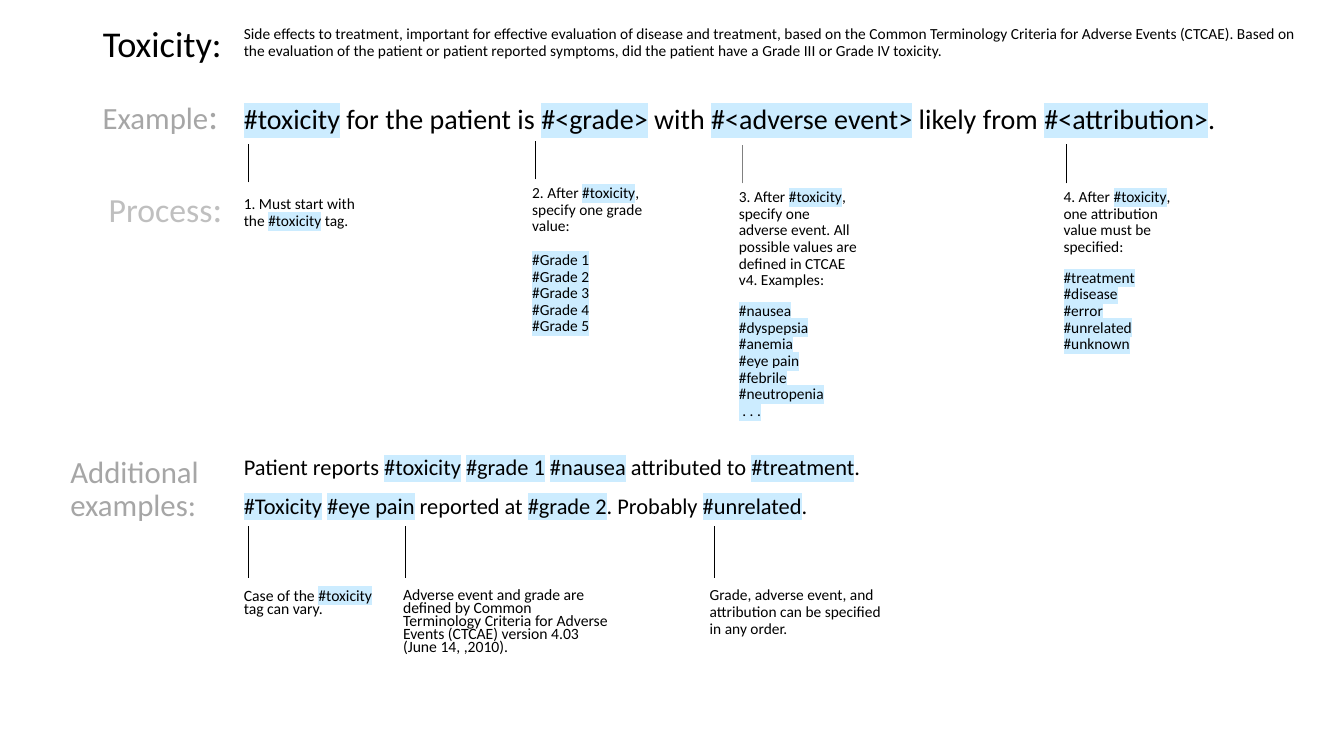
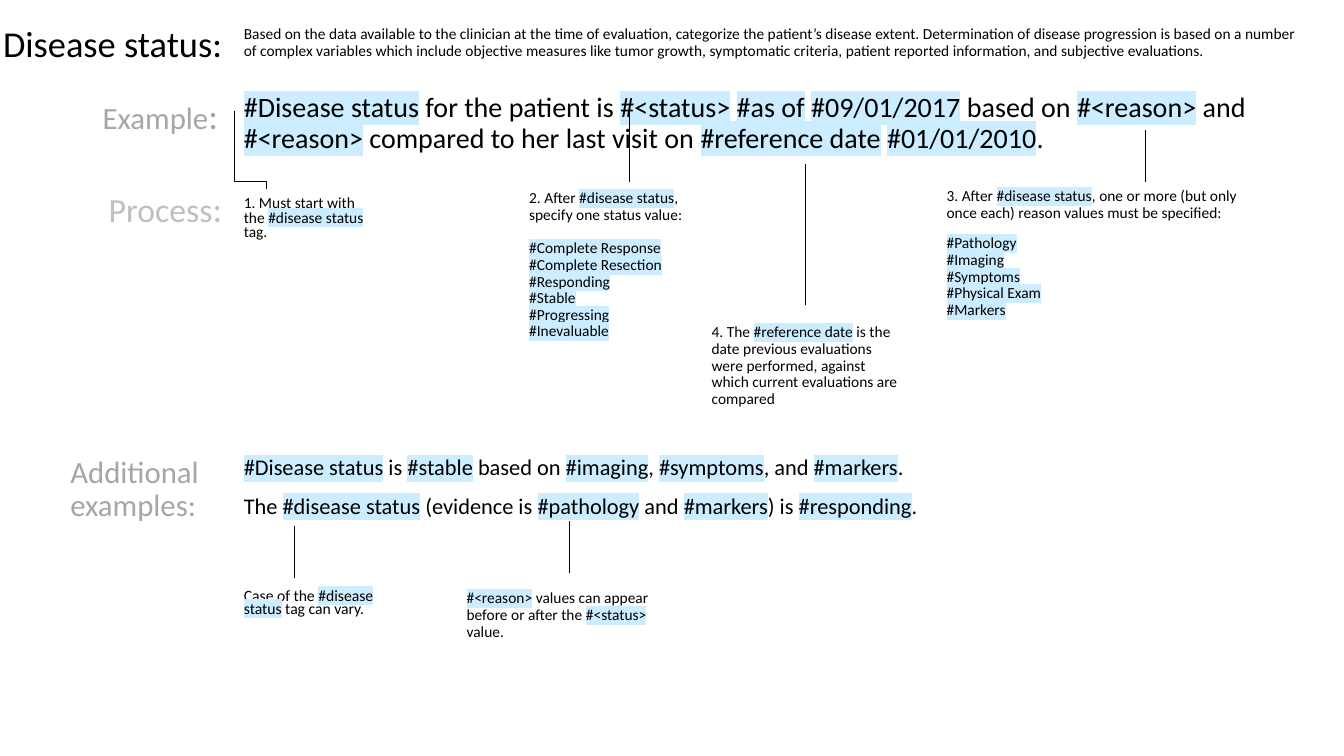
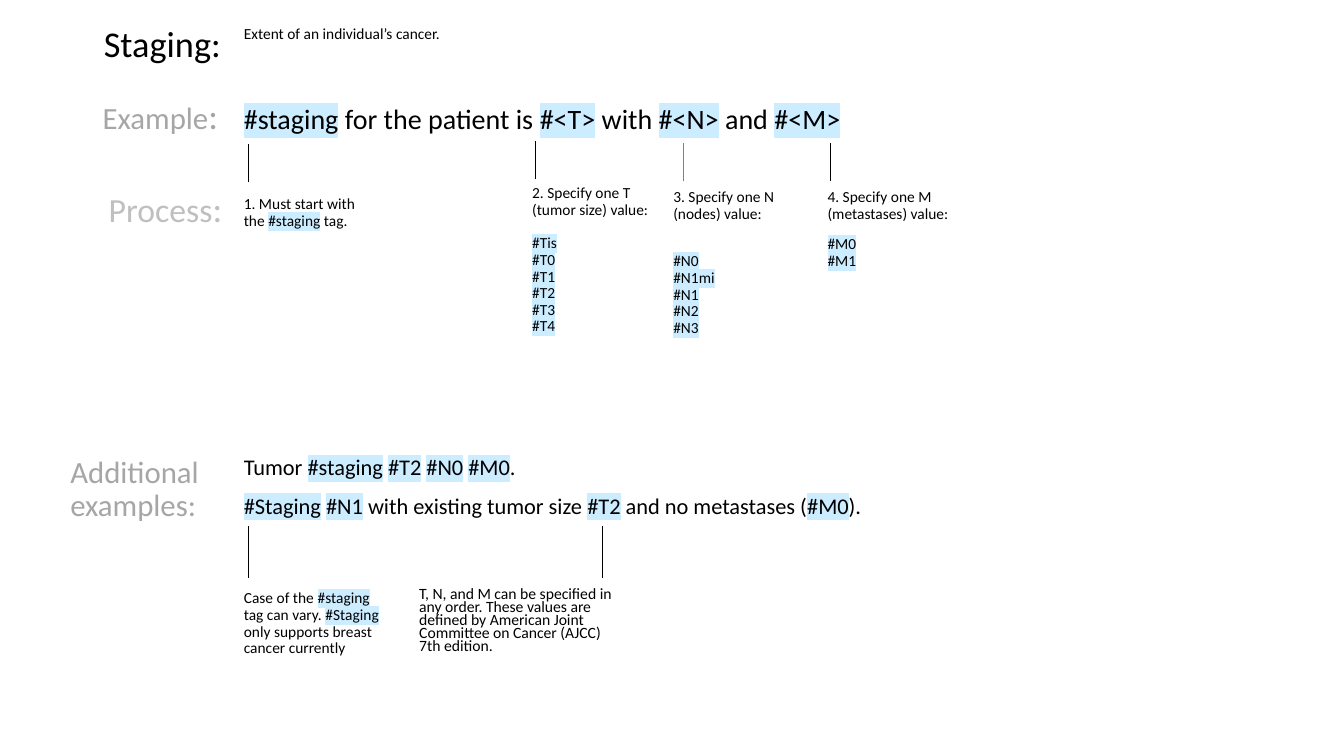
"""Build three reference slides that explain how clinical hashtags are written."""
import copy

import pptx
import pptx.dml.color
import pptx.enum.shapes
import pptx.enum.text
import pptx.oxml.ns
import pptx.oxml.xmlchemy
import pptx.util
from lxml import etree
from pptx.util import Inches

COLORS = {"text": "000000", "label": "A6A6A6", "process": "BFBFBF",
          "tag": "CCECFF", "line": "000000", "soft line": "808080"}
FONT = "Calibri"
TEXT_LEFT = 2.32
TIGHT = {"size": 11.2, "spacing": 0.7}
LABELS = [
    ("Example", (0.92, 0.92, 1.38, 0.48), {"size": 22, "color": "label", "colon_size": 26}),
    ("Process", (0.98, 1.85, 1.4, 0.57), {"size": 24.1, "color": "process", "colon_size": 25.9}),
    ("Additional examples:", (0.6, 4.48, 1.57, 0.57), {"size": 22, "color": "label"}),
]


def write(box, text, size=11, color="text", spacing=0.9, gap=10, colon_size=None):
    """Fill a box; | parts paragraphs, square brackets mark tags."""
    frame = box.text_frame
    frame.word_wrap = True
    frame.auto_size = pptx.enum.text.MSO_AUTO_SIZE.NONE
    frame.vertical_anchor = pptx.enum.text.MSO_ANCHOR.TOP
    for number, part in enumerate(text.split("|")):
        para = frame.add_paragraph() if number else frame.paragraphs[0]
        para.alignment = pptx.enum.text.PP_ALIGN.LEFT
        para.line_spacing = spacing
        para.space_before = pptx.util.Pt(gap if number else 0)
        pieces = [(piece, index % 2 == 1, size)
                  for index, piece in enumerate(part.replace("]", "[").split("["))]
        if colon_size:
            pieces.append((":", False, colon_size))
        for piece, tagged, points in pieces:
            for row, line in enumerate(piece.split("\n") if piece else []):
                if row:
                    para.add_line_break()
                    para._p[-1].append(copy.deepcopy(span._r.rPr))
                span = para.add_run()
                span.text = line
                span.font.size = pptx.util.Pt(points)
                span.font.name = FONT
                span.font.color.rgb = pptx.dml.color.RGBColor.from_string(COLORS[color])
                if tagged:
                    highlight = etree.Element(pptx.oxml.ns.qn("a:highlight"))
                    value = etree.SubElement(highlight, pptx.oxml.ns.qn("a:srgbClr"))
                    value.set("val", COLORS["tag"])
                    span._r.rPr.find(pptx.oxml.ns.qn("a:solidFill")).addnext(highlight)


def draw_line(page, kind, start, end, color="line"):
    """Add a thin connector without a shadow."""
    line = page.shapes.add_connector(kind, *[Inches(value) for value in start + end])
    line.line.width = pptx.util.Pt(0.5)
    line.line.color.rgb = pptx.dml.color.RGBColor.from_string(COLORS[color])
    etree.SubElement(line._element.spPr, pptx.oxml.ns.qn("a:effectLst"))
    return line


TOPICS = [
    {
        "title": "Toxicity:", "title_left": 0.92, "title_size": 25.9,
        "definition": "Side effects to treatment, important for effective evaluation of disease and "
                      "treatment, based on the Common Terminology Criteria for Adverse Events (CTCAE). "
                      "Based on the evaluation of the patient or patient reported symptoms, did the "
                      "patient have a Grade III or Grade IV toxicity.",
        "example": "[#toxicity] for the patient is [#<grade>] with [#<adverse event>] likely from "
                   "[#<attribution>].",
        "example_top": 1,
        "more": "Patient reports [#toxicity] [#grade 1] [#nausea] attributed to [#treatment].|"
                "[#Toxicity] [#eye pain] reported at [#grade 2]. Probably [#unrelated].",
        "notes": [
            ("1. Must start with the [#toxicity] tag.", (TEXT_LEFT, 1.9, 1.53, 0.57), {}),
            ("2. After [#toxicity], specify one grade value:|"
             "[#Grade 1\n#Grade 2\n#Grade 3\n#Grade 4\n#Grade 5]", (5.18, 1.79, 1.4, 1.87), {"gap": 12}),
            ("3. After [#toxicity], specify one adverse event. All possible values are deﬁned in "
             "CTCAE v4. Examples:|[#nausea\n#dyspepsia\n#anemia\n#eye pain\n#febrile\n#neutropenia\n . . .]",
             (7.23, 1.83, 1.4, 2), {}),
            ("4. After [#toxicity], one attribution value must be speciﬁed:|"
             "[#treatment\n#disease\n#error\n#unrelated\n#unknown]", (10.45, 1.83, 1.4, 2.1), {}),
            ("Case of the [#toxicity] tag can vary.", (TEXT_LEFT, 5.81, 1.58, 0.54), TIGHT),
            ("Adverse event and grade are deﬁned by Common Terminology Criteria for Adverse Events "
             "(CTCAE) version 4.03 (June 14, ,2010).", (3.9, 5.8, 2.24, 0.79), TIGHT),
            ("Grade, adverse event, and attribution can be speciﬁed in any order.",
             (6.94, 5.78, 1.98, 0.57), {}),
        ],
        "lines": [(2.46, 1.43, 1.81, "line"), (5.31, 1.4, 1.78, "line"), (7.36, 1.44, 1.82, "soft line"),
                  (10.58, 1.43, 1.82, "line"), (2.46, 5.22, 5.73, "line"), (4.02, 5.22, 5.73, "line"),
                  (7.09, 5.22, 5.73, "line")],
    },
    {
        "title": "Disease status:", "title_left": -0.07, "title_size": 26,
        "definition": "Based on the data available to the clinician at the time of evaluation, categorize "
                      "the patient’s disease extent. Determination of disease progression is based on a "
                      "number of complex variables which include objective measures like tumor growth, "
                      "symptomatic criteria, patient reported information, and subjective evaluations.",
        "example": "[#Disease status] for the patient is [#<status>] [#as of] [#09/01/2017] based on "
                   "[#<reason>] and [#<reason>] compared to her last visit on [#reference date] "
                   "[#01/01/2010].",
        "example_top": 0.88,
        "more": "[#Disease status] is [#stable] based on [#imaging], [#symptoms], and [#markers].|"
                "The [#disease status] (evidence is [#pathology] and [#markers]) is [#responding].",
        "notes": [
            ("1. Must start with the [#disease status] tag.", (TEXT_LEFT, 1.9, 1.53, 0.57),
             {"spacing": 0.8}),
            ("2. After [#disease status], specify one status value:|[#Complete Response\n"
             "#Complete Resection\n#Responding\n#Stable\n#Progressing\n#Inevaluable]",
             (5.15, 1.84, 1.8, 1.87), {"gap": 12}),
            ("3. After [#disease status], one or more (but only once each) reason values must be "
             "speciﬁed:|[#Pathology\n#Imaging\n#Symptoms\n#Physical Exam\n#Markers]",
             (9.29, 1.82, 3.18, 2.1), {}),
            ("4. The [#reference date] is the date previous evaluations were performed, against which "
             "current evaluations are compared", (6.96, 3.17, 2.06, 1.11), {}),
            ("Case of the [#disease status] tag can vary.", (TEXT_LEFT, 5.81, 1.58, 0.54), TIGHT),
            ("[#<reason>] values can appear before or after the [#<status>] value.",
             (4.53, 5.81, 2.24, 0.79), {}),
        ],
        "lines": [(6.24, 1.11, 1.81, "line"), (11.36, 1.29, 1.81, "line"), (7.99, 1.63, 3.03, "line"),
                  (2.92, 5.22, 5.73, "line"), (5.65, 5.17, 5.68, "line")],
    },
    {
        "title": "Staging:", "title_left": 0.93, "title_size": 25.9,
        "definition": "Extent of an individual’s cancer.",
        "example": "[#staging] for the patient is [#<T>] with [#<N>] and [#<M>]",
        "example_top": 1,
        "more": "Tumor [#staging] [#T2] [#N0] [#M0].|"
                "[#Staging] [#N1] with existing tumor size [#T2] and no metastases ([#M0]).",
        "notes": [
            ("1. Must start with the [#staging] tag.", (TEXT_LEFT, 1.9, 1.53, 0.57), {}),
            ("2. Specify one T (tumor size) value:|[#Tis\n#T0\n#T1\n#T2\n#T3\n#T4]",
             (5.18, 1.79, 1.4, 1.87), {"gap": 12}),
            ("3. Specify one N (nodes) value:|[#N0\n#N1mi\n#N1\n#N2\n#N3]",
             (6.58, 1.83, 1.4, 2), {"gap": 22}),
            ("4. Specify one M (metastases) value:|[#M0\n#M1]", (8.11, 1.83, 1.4, 2.1), {}),
            ("Case of the [#staging] tag can vary. [#Staging] only supports breast cancer currently",
             (TEXT_LEFT, 5.81, 1.58, 0.86), {}),
            ("T, N, and M can be speciﬁed in any order. These values are deﬁned by American Joint "
             "Committee on Cancer (AJCC) 7th edition.", (4.06, 5.79, 2.24, 0.79), TIGHT),
        ],
        "lines": [(2.46, 1.43, 1.81, "line"), (5.31, 1.4, 1.78, "line"), (6.78, 1.42, 1.8, "soft line"),
                  (8.24, 1.42, 1.8, "line"), (2.46, 5.22, 5.73, "line"), (5.97, 5.22, 5.73, "line")],
    },
]

deck = pptx.Presentation()
deck.slide_width, deck.slide_height = Inches(13.33), Inches(7.5)
connectors = pptx.enum.shapes.MSO_CONNECTOR

for topic in TOPICS:
    page = deck.slides.add_slide(deck.slide_layouts[5])
    title = page.shapes.title
    title.left, title.top = Inches(topic["title_left"]), Inches(0.21)
    title.width, title.height = Inches(TEXT_LEFT - topic["title_left"]), Inches(0.57)
    write(title, topic["title"], size=topic["title_size"])

    shared_boxes = [
        (topic["definition"], (TEXT_LEFT, 0.21, 10.67, 0.57), {}),
        (topic["example"], (TEXT_LEFT, topic["example_top"], 10.77, 0.6), {"size": 20}),
        (topic["more"], (TEXT_LEFT, 4.48, 8.13, 1.07), {"size": 16}),
    ]
    for text, place, style in shared_boxes + LABELS + topic["notes"]:
        box = page.shapes.add_textbox(*[Inches(value) for value in place])
        write(box, text, **style)

    for x, top, bottom, color in topic["lines"]:
        draw_line(page, connectors.STRAIGHT, (x, bottom), (x, top), color)

    if topic["title"] == "Disease status:":
        elbow = draw_line(page, connectors.ELBOW, (2.87, 1.33), (2.1, 1.65))
        properties = elbow._element.spPr
        properties.find(pptx.oxml.ns.qn("a:xfrm")).set("rot", "16200000")
        geometry = properties.find(pptx.oxml.ns.qn("a:prstGeom"))
        guides = geometry.find(pptx.oxml.ns.qn("a:avLst"))
        bend = etree.SubElement(guides, pptx.oxml.ns.qn("a:gd"))
        bend.set("name", "adj1")
        bend.set("fmla", "val 89700")

deck.save("out.pptx")
